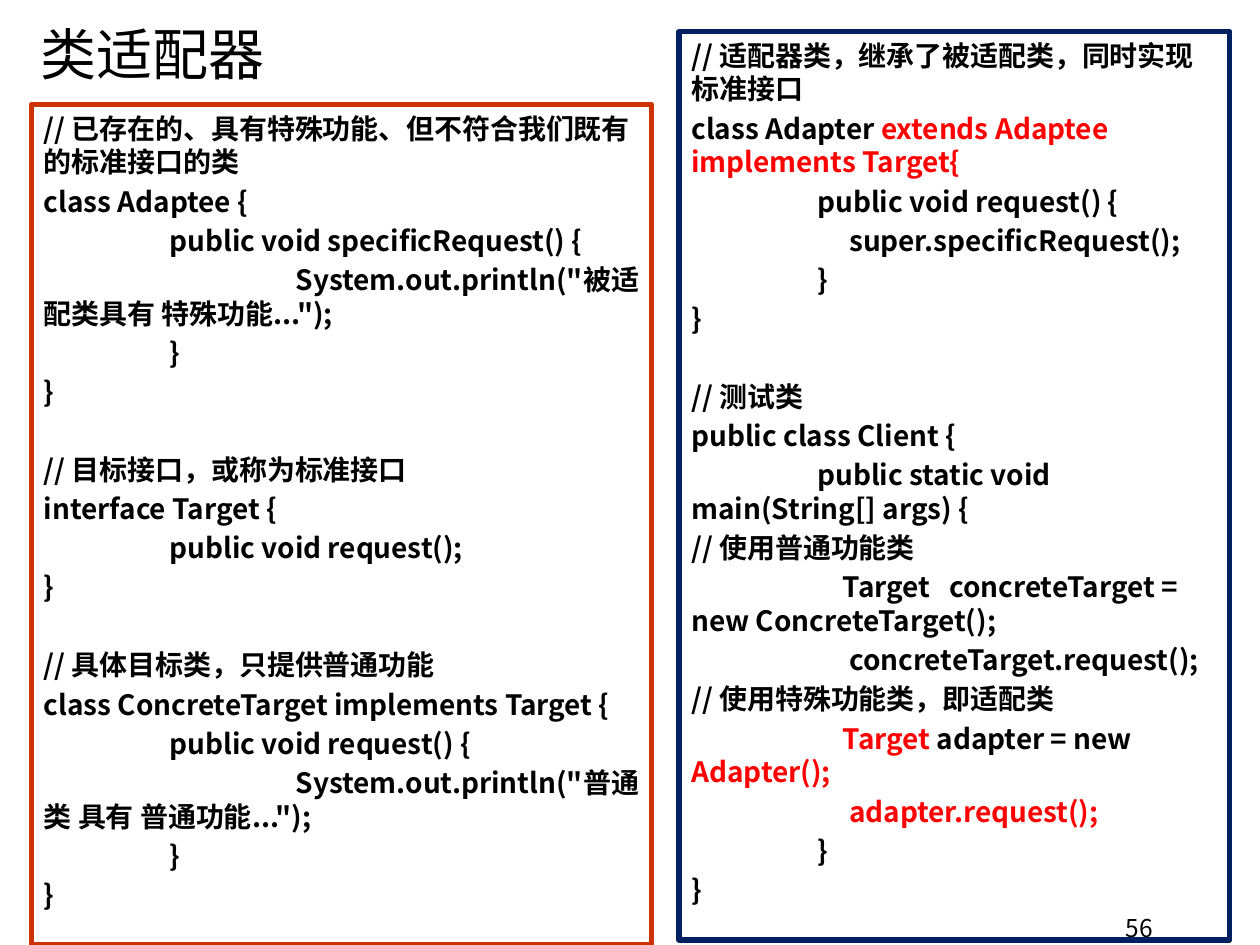
from lxml.etree import SubElement
from pptx import Presentation
from pptx.dml.color import RGBColor
from pptx.enum.shapes import MSO_SHAPE
from pptx.enum.text import MSO_ANCHOR, PP_ALIGN
from pptx.oxml.ns import qn
from pptx.util import Inches, Pt

FONT = "Noto Sans CJK SC"
BLACK, RED = "000000", "FF0000"
LINE_HEIGHT, PARA_GAP = 19.4, 2.95
BLOCK_GAP = LINE_HEIGHT + 2 * PARA_GAP


def color(hex_string):
    return RGBColor.from_string(hex_string)


def add_span(para, text, size, hex_string=BLACK, bold=False):
    span = para.add_run()
    span.text = text
    span.font.size = Pt(size)
    span.font.bold = bold
    span.font.color.rgb = color(hex_string)
    span.font.name = FONT
    SubElement(span.font._element, qn("a:ea"), typeface=FONT)


deck = Presentation()
deck.slide_width, deck.slide_height = Inches(10), Inches(7.5)
page = deck.slides.add_slide(deck.slide_layouts[5])

# Title
title = page.shapes.title
title.left, title.top = Inches(0.22), Inches(0.11)
title.width, title.height = Inches(9.06), Inches(0.63)
title.text_frame.vertical_anchor = MSO_ANCHOR.MIDDLE
para = title.text_frame.paragraphs[0]
para.alignment = PP_ALIGN.LEFT
add_span(para, "类适配器", 32)

# Page number
number = page.shapes.add_textbox(Inches(7.17), Inches(7.22), Inches(2.08), Inches(0.28))
frame = number.text_frame
frame.word_wrap = True
frame.margin_top = frame.margin_bottom = 0
frame.vertical_anchor = MSO_ANCHOR.MIDDLE
para = frame.paragraphs[0]
para.alignment = PP_ALIGN.RIGHT
add_span(para, "56", 14)

# Code: blocks of lines, each line a list of (text, colour) spans
adaptee_code = [
    [
        [("// 已存在的、具有特殊功能、但不符合我们既有的标准接口的类", BLACK)],
        [("class Adaptee {", BLACK)],
        [("\tpublic void specificRequest() {", BLACK)],
        [('\t\tSystem.out.println("被适配类具有 特殊功能...");', BLACK)],
        [("\t}", BLACK)],
        [("}", BLACK)],
    ],
    [
        [("// 目标接口，或称为标准接口", BLACK)],
        [("interface Target {", BLACK)],
        [("\tpublic void request();", BLACK)],
        [("}", BLACK)],
    ],
    [
        [("// 具体目标类，只提供普通功能", BLACK)],
        [("class ConcreteTarget implements Target {", BLACK)],
        [("\tpublic void request() {", BLACK)],
        [('\t\tSystem.out.println("普通类 具有 普通功能...");', BLACK)],
        [("\t}", BLACK)],
        [("}", BLACK)],
    ],
]
adapter_code = [
    [
        [("// 适配器类，继承了被适配类，同时实现标准接口", BLACK)],
        [("class Adapter ", BLACK), ("extends Adaptee implements Target{", RED)],
        [("\tpublic void request() {", BLACK)],
        [("  \t     super.specificRequest();", BLACK)],
        [("\t}", BLACK)],
        [("}", BLACK)],
    ],
    [
        [("// 测试类", BLACK)],
        [("public class Client {", BLACK)],
        [("\tpublic static void main(String[] args) {", BLACK)],
        [("// 使用普通功能类", BLACK)],
        [("\t    Target   concreteTarget = new ConcreteTarget();", BLACK)],
        [("\t     concreteTarget.request();", BLACK)],
        [("// 使用特殊功能类，即适配类", BLACK)],
        [("\t    ", BLACK), ("Target ", RED), ("adapter = new ", BLACK), ("Adapter();", RED)],
        [("\t     adapter.request();", RED)],
        [("\t}", BLACK)],
        [("}", BLACK)],
    ],
]

# Framed code boxes
for left, top, width, height, border, blocks in [
    (0.25, 0.83, 4.92, 6.67, "CC3300", adaptee_code),
    (5.39, 0.25, 4.37, 7.21, "002060", adapter_code),
]:
    box = page.shapes.add_shape(
        MSO_SHAPE.RECTANGLE, Inches(left), Inches(top), Inches(width), Inches(height))
    box.shadow.inherit = False
    box.fill.background()
    box.line.color.rgb = color(border)
    box.line.width = Pt(3)
    frame = box.text_frame
    frame.word_wrap = True
    frame.vertical_anchor = MSO_ANCHOR.TOP
    for block_index, block in enumerate(blocks):
        for line_index, line in enumerate(block):
            first = block_index == line_index == 0
            para = frame.paragraphs[0] if first else frame.add_paragraph()
            # Tab stops every inch
            tabs = SubElement(para._p.get_or_add_pPr(), qn("a:tabLst"))
            for stop in (1, 2):
                SubElement(tabs, qn("a:tab"), pos=str(Inches(stop)), algn="l")
            para.alignment = PP_ALIGN.LEFT
            para.line_spacing = Pt(LINE_HEIGHT)
            if not first:
                para.space_before = Pt(PARA_GAP if line_index else BLOCK_GAP)
            for text, hex_string in line:
                add_span(para, text, 16, hex_string, bold=True)

deck.save("out.pptx")
